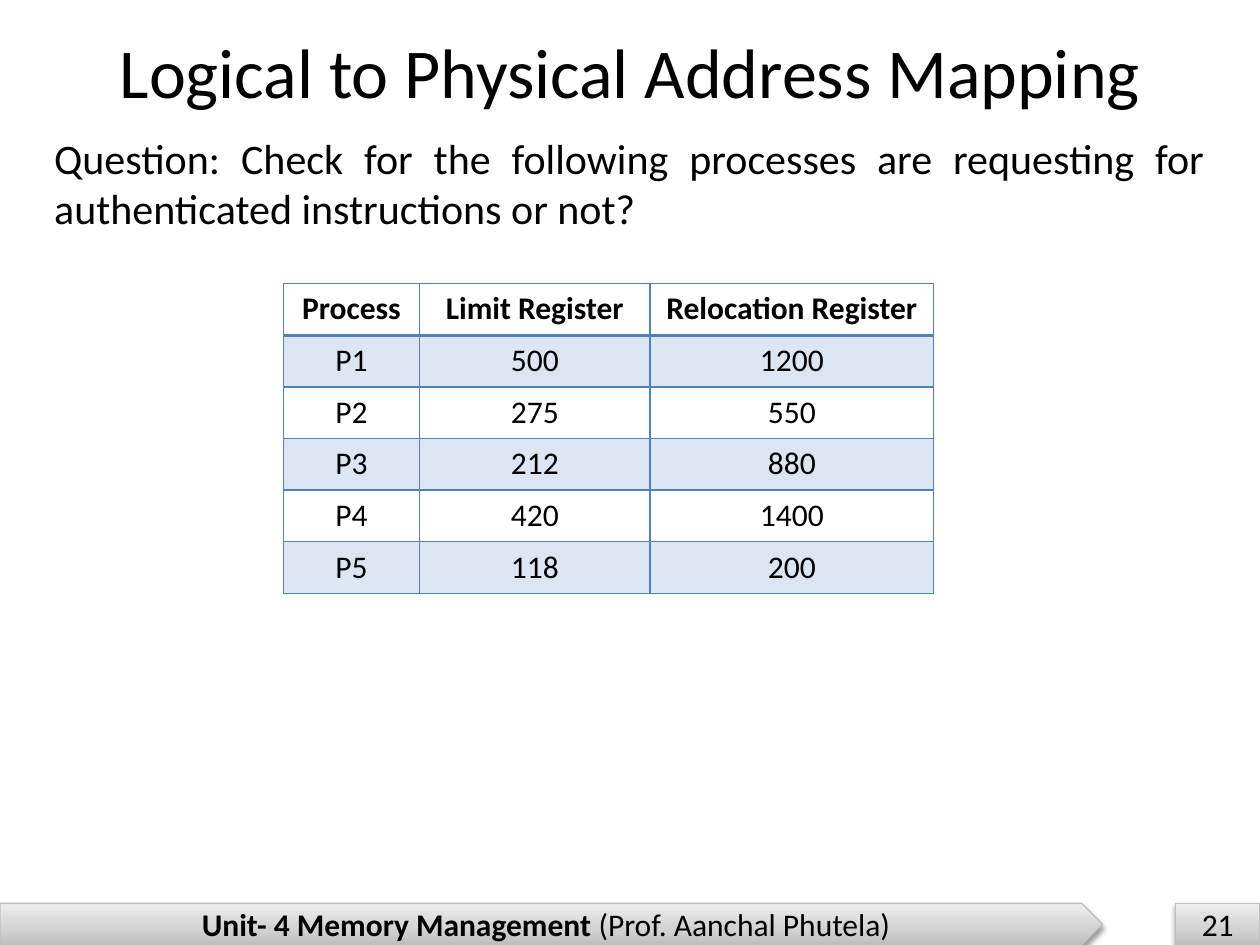
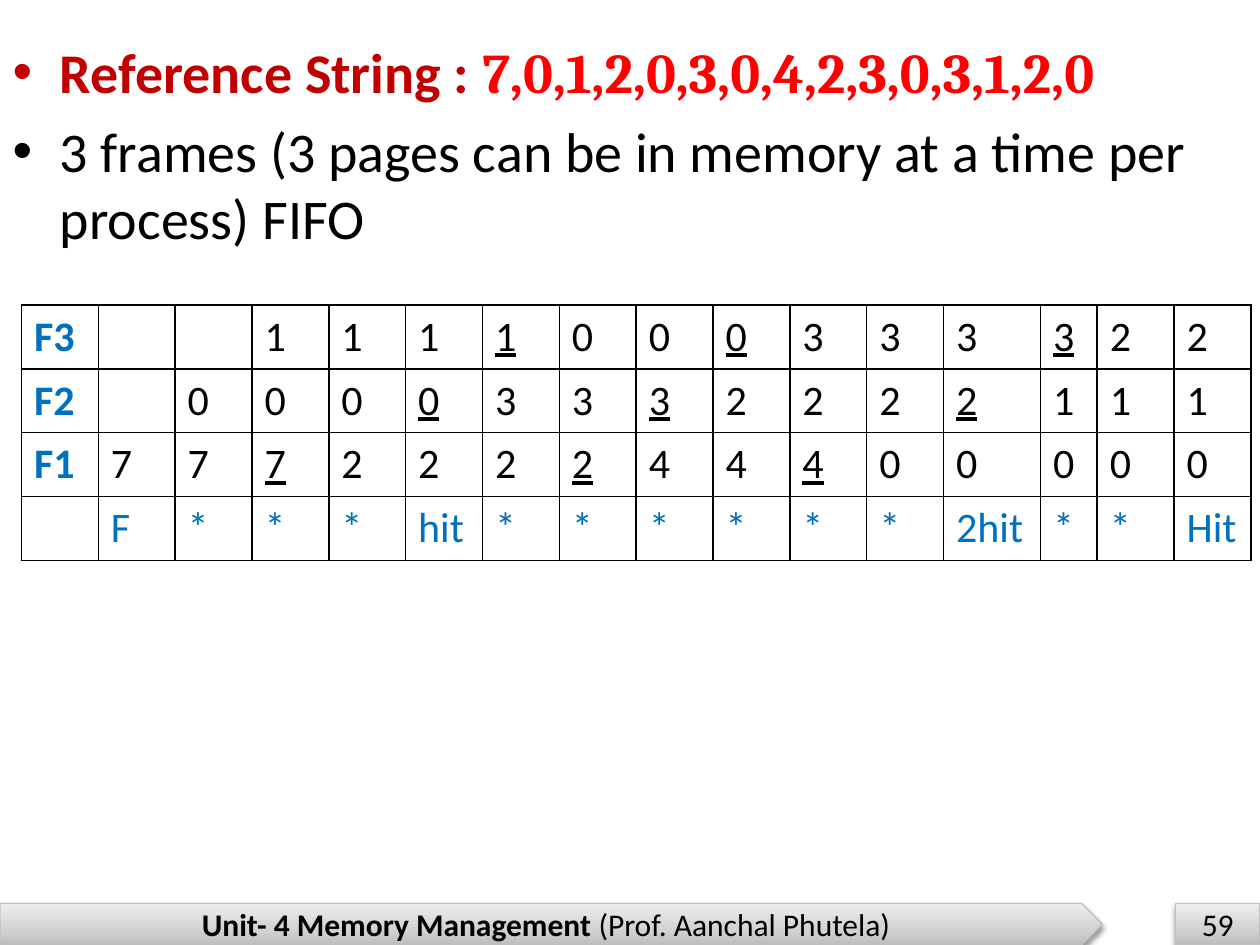
from copy import deepcopy

from lxml.etree import SubElement
from pptx import Presentation
from pptx.dml.color import RGBColor
from pptx.enum.shapes import MSO_SHAPE
from pptx.enum.text import MSO_ANCHOR, MSO_AUTO_SIZE, PP_ALIGN
from pptx.oxml.ns import qn
from pptx.util import Inches, Pt

# Shared colours and fonts
BLACK = RGBColor(0x00, 0x00, 0x00)
DARK_RED = RGBColor(0xC0, 0x00, 0x00)
RED = RGBColor(0xFF, 0x00, 0x00)
BLUE = RGBColor(0x00, 0x70, 0xC0)
GRID_BLUE = RGBColor(0x4F, 0x81, 0xBD)
PALE_BLUE = RGBColor(0xDC, 0xE6, 0xF2)
BAND_LINE = RGBColor(0xBF, 0xBF, 0xBF)
BAND_STOPS = [
    (0, RGBColor(0xBD, 0xBD, 0xBD)),
    (0.35, RGBColor(0xD1, 0xD1, 0xD1)),
    (1, RGBColor(0xEE, 0xEE, 0xEE)),
]
BODY_FONT, NUMBER_FONT = "Calibri", "Cambria"

# Slide content
REGISTERS = [
    ("Process", "Limit Register", "Relocation Register"),
    ("P1", "500", "1200"),
    ("P2", "275", "550"),
    ("P3", "212", "880"),
    ("P4", "420", "1400"),
    ("P5", "118", "200"),
]
# "-" is an empty cell, a trailing "_" marks the page to be replaced next
FRAMES = [
    "F3 - - 1 1 1 1_ 0 0 0_ 3 3 3 3_ 2 2",
    "F2 - 0 0 0 0_ 3 3 3_ 2 2 2 2_ 1 1 1",
    "F1 7 7 7_ 2 2 2 2_ 4 4 4_ 0 0 0 0 0",
    "- F * * * hit * * * * * * 2hit * * Hit",
]


def add_run(p, text, size, color=BLACK, **formats):
    r = p.add_run()
    r.text = text
    values = {"name": BODY_FONT, "size": Pt(size), **formats}
    for name, value in values.items():
        setattr(r.font, name, value)
    r.font.color.rgb = color


def place(sp, left, top, width, height):
    box = {"left": left, "top": top, "width": width, "height": height}
    for name, value in box.items():
        setattr(sp, name, Inches(value))
    sp.text_frame.auto_size = MSO_AUTO_SIZE.NONE
    return sp.text_frame


# Footer bands
def add_band(s, shape_type, left, width, runs):
    sp = s.shapes.add_shape(shape_type, Inches(left), Inches(7.17), Inches(width), Inches(0.33))
    sp.line.color.rgb = BAND_LINE
    sp.line.width = Pt(0.75)

    # Three-stop gradient, dark at the bottom
    sp.fill.gradient()
    sp.fill.gradient_angle = 90
    stops = sp._element.spPr.find(".//" + qn("a:gsLst"))
    stops.append(deepcopy(stops[0]))
    for stop, (position, color) in zip(sp.fill.gradient_stops, BAND_STOPS):
        stop.position = position
        stop.color.rgb = color

    # Soft shadow below
    sp.shadow.inherit = False
    effects = sp._element.spPr.find(qn("a:effectLst"))
    shadow = SubElement(effects, qn("a:outerShdw"), blurRad=str(Pt(3.1)),
                        dist=str(Pt(1.6)), dir="5400000", rotWithShape="0")
    shade = SubElement(shadow, qn("a:srgbClr"), val=str(BLACK))
    SubElement(shade, qn("a:alpha"), val="38000")

    tf = sp.text_frame
    tf.word_wrap = True
    tf.vertical_anchor = MSO_ANCHOR.MIDDLE
    p = tf.paragraphs[0]
    p.alignment = PP_ALIGN.CENTER
    for text, bold in runs:
        add_run(p, text, 18, bold=bold)


def add_footer(s, number):
    add_band(s, MSO_SHAPE.PENTAGON, 0, 8.75,
             [("Unit- 4 Memory Management ", True), ("(Prof. Aanchal Phutela)", False)])
    add_band(s, MSO_SHAPE.RECTANGLE, 9.33, 0.67, [(str(number), False)])


# Tables
def set_borders(cell, color, bottom_width=1):
    tcPr = cell._tc.get_or_add_tcPr()
    widths = {"a:lnL": 1, "a:lnR": 1, "a:lnT": 1, "a:lnB": bottom_width}
    for i, (tag, width) in enumerate(widths.items()):
        line = SubElement(tcPr, qn(tag), w=str(Pt(width)))
        fill = SubElement(line, qn("a:solidFill"))
        SubElement(fill, qn("a:srgbClr"), val=str(color))
        tcPr.insert(i, line)


def add_grid(s, left, top, col_widths, row_count, row_height):
    frame = s.shapes.add_table(row_count, len(col_widths), Inches(left), Inches(top),
                               Inches(sum(col_widths)), Inches(row_count * row_height))
    table = frame.table
    table.first_row = table.horz_banding = False
    for col, width in zip(table.columns, col_widths):
        col.width = Inches(width)
    for row in table.rows:
        row.height = Inches(row_height)
    for cell in table.iter_cells():
        cell.fill.background()
    return table


def add_register_table(s):
    table = add_grid(s, 2.25, 2.25, [1.08, 1.83, 2.25], len(REGISTERS), 0.41)
    for i, row in enumerate(REGISTERS):
        for j, text in enumerate(row):
            cell = table.cell(i, j)
            p = cell.text_frame.paragraphs[0]
            p.alignment = PP_ALIGN.CENTER
            add_run(p, text, 18, bold=i == 0)
            if i % 2:
                cell.fill.solid()
                cell.fill.fore_color.rgb = PALE_BLUE
            set_borders(cell, GRID_BLUE, 2 if i == 0 else 1)


def add_frame_table(s):
    widths = [0.61] * 12 + [0.77, 0.45] + [0.61] * 2
    table = add_grid(s, 0.17, 2.42, widths, len(FRAMES), 0.5)
    last = len(FRAMES) - 1
    for i, row in enumerate(FRAMES):
        for j, mark in enumerate(row.split()):
            cell = table.cell(i, j)
            set_borders(cell, BLACK)
            if mark != "-":
                color = BLUE if j == 0 or i == last else BLACK
                add_run(cell.text_frame.paragraphs[0], mark.rstrip("_"), 24, color,
                        bold=j == 0, underline=mark.endswith("_"))


# Slides
def build_mapping_slide(prs):
    s = prs.slides.add_slide(prs.slide_layouts[1])
    add_footer(s, 21)
    p = place(s.shapes.title, 0.21, 0.12, 9.58, 0.88).paragraphs[0]
    p.alignment = PP_ALIGN.CENTER
    add_run(p, "Logical to Physical Address Mapping", 40)

    p = place(s.placeholders[1], 0.33, 1, 9.33, 0.92).paragraphs[0]
    pPr = p._p.get_or_add_pPr()
    pPr.set("marL", "0")
    pPr.set("indent", "0")
    SubElement(pPr, qn("a:buNone"))
    p.alignment = PP_ALIGN.JUSTIFY
    p.space_before = Pt(0)
    add_run(p, "Question: Check for the following processes are requesting for "
               "authenticated instructions or not?", 24)
    add_register_table(s)


def build_fifo_slide(prs):
    s = prs.slides.add_slide(prs.slide_layouts[1])
    add_footer(s, 59)
    title = s.shapes.title._element
    title.getparent().remove(title)

    tf = place(s.placeholders[1], 0, 0.25, 9.58, 5.83)
    p = tf.paragraphs[0]
    p.space_before = Pt(0)
    add_run(p, "Reference String : ", 32, DARK_RED, bold=True)
    add_run(p, "7,0,1,2,0,3,0,4,2,3,0,3,1,2,0", 32, RED, bold=True, name=NUMBER_FONT)
    add_run(tf.add_paragraph(),
            "3 frames (3 pages can be in memory at a time per process) FIFO", 32)
    add_frame_table(s)


def main():
    prs = Presentation()
    prs.slide_width, prs.slide_height = Inches(10), Inches(7.5)
    build_mapping_slide(prs)
    build_fifo_slide(prs)
    prs.save("out.pptx")


if __name__ == "__main__":
    main()
